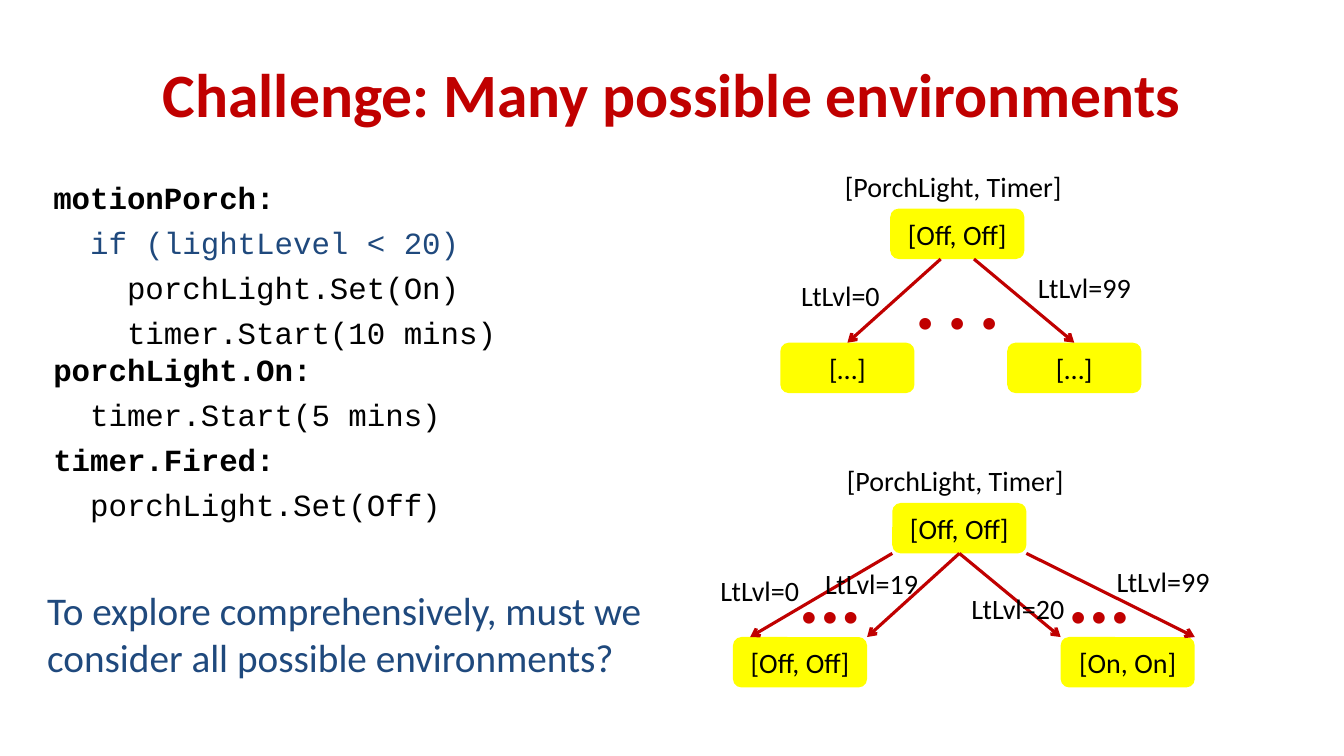
"""Build the slide on exploring many possible environments."""
from dataclasses import dataclass

from lxml.etree import SubElement
from pptx import Presentation
from pptx.dml.color import RGBColor
from pptx.enum.shapes import MSO_CONNECTOR, MSO_SHAPE
from pptx.enum.text import MSO_ANCHOR, MSO_AUTO_SIZE, PP_ALIGN
from pptx.oxml.ns import qn
from pptx.util import Emu, Pt

PX = 9144
STATE_WIDTH, STATE_HEIGHT = 133, 50
CHILD_DROP = 133


@dataclass(frozen=True)
class Theme:
    accent: str = "C00000"
    question: str = "1F497D"
    ink: str = "000000"
    state: str = "FFFF00"
    body_font: str = "Calibri"
    code_font: str = "Courier New"
    title_size: int = 44
    question_size: int = 28
    code_size: int = 22
    label_size: int = 20
    dots_size: int = 18
    arrow_width: float = 2.25


THEME = Theme()


@dataclass(frozen=True)
class CodeLine:
    text: str
    bold: bool = False
    color: str = THEME.ink


@dataclass(frozen=True)
class Child:
    dx: int
    text: str


@dataclass(frozen=True)
class Arrow:
    start_dx: int
    end_dx: int


@dataclass(frozen=True)
class Label:
    dx: int
    dy: int
    text: str


@dataclass(frozen=True)
class Dots:
    dx: int
    align: PP_ALIGN = PP_ALIGN.LEFT
    tracking: float = 0


@dataclass(frozen=True)
class Tree:
    left: int
    top: int
    children: tuple[Child, ...]
    arrows: tuple[Arrow, ...]
    labels: tuple[Label, ...]
    dots: tuple[Dots, ...]


CODE = (
    (CodeLine("motionPorch:", bold=True),),
    (CodeLine("  if (lightLevel < 20)", color=THEME.question),),
    (CodeLine("    porchLight.Set(On)"),),
    (CodeLine("    timer.Start(10 mins)"), CodeLine("porchLight.On:", bold=True)),
    (CodeLine("  timer.Start(5 mins)"),),
    (CodeLine("timer.Fired:", bold=True),),
    (CodeLine("  porchLight.Set(Off)"),),
)

TREES = (
    Tree(
        883, 207,
        children=(Child(-109, "[…]"), Child(116, "[…]")),
        arrows=(Arrow(50, -43), Arrow(83, 182)),
        labels=(Label(-109, 64, "LtLvl=0"), Label(133, 56, "LtLvl=99")),
        dots=(Dots(-17, PP_ALIGN.CENTER, 4),),
    ),
    Tree(
        885, 499,
        children=(Child(-158, "[Off, Off]"), Child(167, "[On, On]")),
        arrows=(Arrow(0, -141), Arrow(66, 167), Arrow(66, -25), Arrow(133, 300)),
        labels=(
            Label(-191, 65, "LtLvl=0"),
            Label(-80, 58, "LtLvl=19"),
            Label(209, 56, "LtLvl=99"),
            Label(65, 83, "LtLvl=20"),
        ),
        dots=(Dots(-100), Dots(167)),
    ),
)


def px(length: int) -> Emu:
    return Emu(length * PX)


def write(paragraph, text: str, *, size: int, color: str = THEME.ink,
          font: str = THEME.body_font, bold: bool = False,
          align: PP_ALIGN = PP_ALIGN.LEFT, tracking: float = 0) -> None:
    paragraph.alignment = align
    run = paragraph.add_run()
    run.text = text
    run.font.name = font
    run.font.size = Pt(size)
    run.font.bold = bold
    run.font.color.rgb = RGBColor.from_string(color)
    if tracking:
        run.font._element.set("spc", str(round(tracking * 100)))


def add_frame(slide, left: int, top: int, width: int, height: int):
    frame = slide.shapes.add_textbox(px(left), px(top), px(width), px(height)).text_frame
    frame.word_wrap = True
    return frame


def add_title(slide) -> None:
    title = slide.shapes.title
    title.left, title.top, title.width, title.height = px(67), px(30), px(1200), px(125)
    title.text_frame.auto_size = MSO_AUTO_SIZE.NONE
    title.text_frame.vertical_anchor = MSO_ANCHOR.MIDDLE
    write(title.text_frame.paragraphs[0], "Challenge: Many possible environments",
          size=THEME.title_size, color=THEME.accent, bold=True, align=PP_ALIGN.CENTER)


def add_code(slide) -> None:
    frame = add_frame(slide, 43, 166, 468, 390)
    frame.margin_top = px(11)
    for row, lines in enumerate(CODE):
        paragraph = frame.add_paragraph() if row else frame.paragraphs[0]
        if row:
            paragraph.space_before = Pt(5.8)
        for position, line in enumerate(lines):
            if position:
                paragraph.add_line_break()
            write(paragraph, line.text, size=THEME.code_size, color=line.color,
                  font=THEME.code_font, bold=line.bold)


def add_state(slide, left: int, top: int, text: str):
    state = slide.shapes.add_shape(MSO_SHAPE.ROUNDED_RECTANGLE, px(left), px(top),
                                   px(STATE_WIDTH), px(STATE_HEIGHT))
    state.shadow.inherit = False
    state.fill.solid()
    state.fill.fore_color.rgb = RGBColor.from_string(THEME.state)
    state.line.fill.background()
    state.text_frame.vertical_anchor = MSO_ANCHOR.MIDDLE
    write(state.text_frame.paragraphs[0], text, size=THEME.label_size, align=PP_ALIGN.CENTER)
    return state


def add_arrow(slide, tree: Tree, arrow: Arrow, root, children: dict) -> None:
    link = slide.shapes.add_connector(
        MSO_CONNECTOR.STRAIGHT,
        px(tree.left + arrow.start_dx), px(tree.top + STATE_HEIGHT),
        px(tree.left + arrow.end_dx), px(tree.top + CHILD_DROP))
    middle = STATE_WIDTH // 2
    if arrow.start_dx == middle:
        link.begin_connect(root, 2)
    if arrow.end_dx - middle in children:
        link.end_connect(children[arrow.end_dx - middle], 0)
    link.line.color.rgb = RGBColor.from_string(THEME.accent)
    link.line.width = Pt(THEME.arrow_width)
    properties = link._element.spPr
    SubElement(properties.find(qn("a:ln")), qn("a:tailEnd"), type="arrow")
    SubElement(properties, qn("a:effectLst"))


def add_tree(slide, tree: Tree) -> None:
    root = add_state(slide, tree.left, tree.top, "[Off, Off]")
    children = {child.dx: add_state(slide, tree.left + child.dx, tree.top + CHILD_DROP, child.text)
                for child in tree.children}
    for arrow in tree.arrows:
        add_arrow(slide, tree, arrow, root, children)
    heading = add_frame(slide, tree.left - 100, tree.top - 44, 325, 44)
    write(heading.paragraphs[0], "[PorchLight, Timer]", size=THEME.label_size,
          align=PP_ALIGN.CENTER)
    for label in tree.labels:
        frame = add_frame(slide, tree.left + label.dx, tree.top + label.dy, 119, 44)
        write(frame.paragraphs[0], label.text, size=THEME.label_size, align=PP_ALIGN.CENTER)
    for dots in tree.dots:
        frame = add_frame(slide, tree.left + dots.dx, tree.top + 92, 167, 40)
        write(frame.paragraphs[0], "● ● ●", size=THEME.dots_size, color=THEME.accent,
              align=dots.align, tracking=dots.tracking)


def main() -> None:
    deck = Presentation()
    deck.slide_width, deck.slide_height = px(1333), px(750)
    slide = deck.slides.add_slide(deck.slide_layouts[5])
    add_title(slide)
    add_code(slide)
    question = add_frame(slide, 37, 577, 638, 123)
    write(question.paragraphs[0],
          "To explore comprehensively, must we consider all possible environments?",
          size=THEME.question_size, color=THEME.question)
    for tree in TREES:
        add_tree(slide, tree)
    deck.save("out.pptx")


if __name__ == "__main__":
    main()
